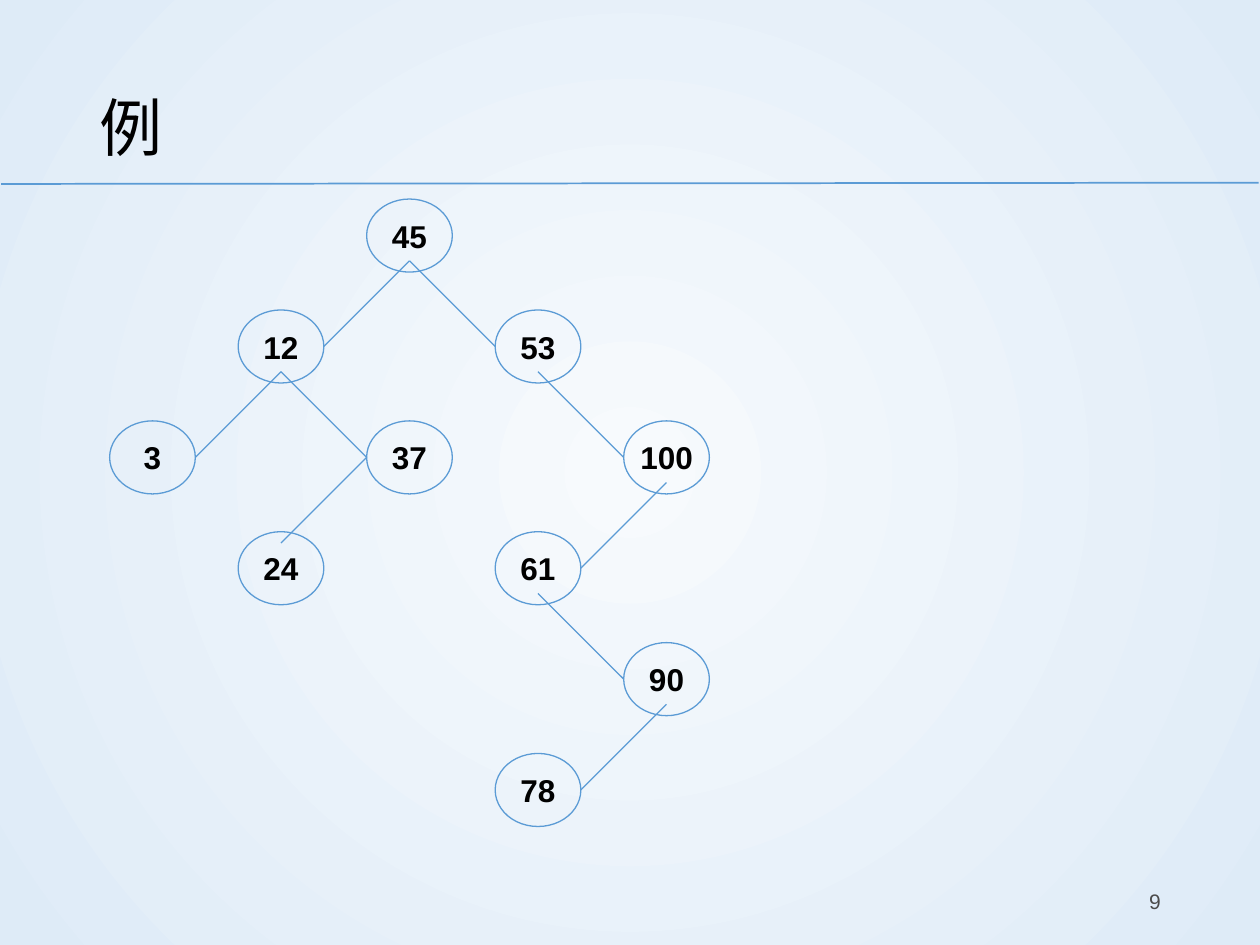
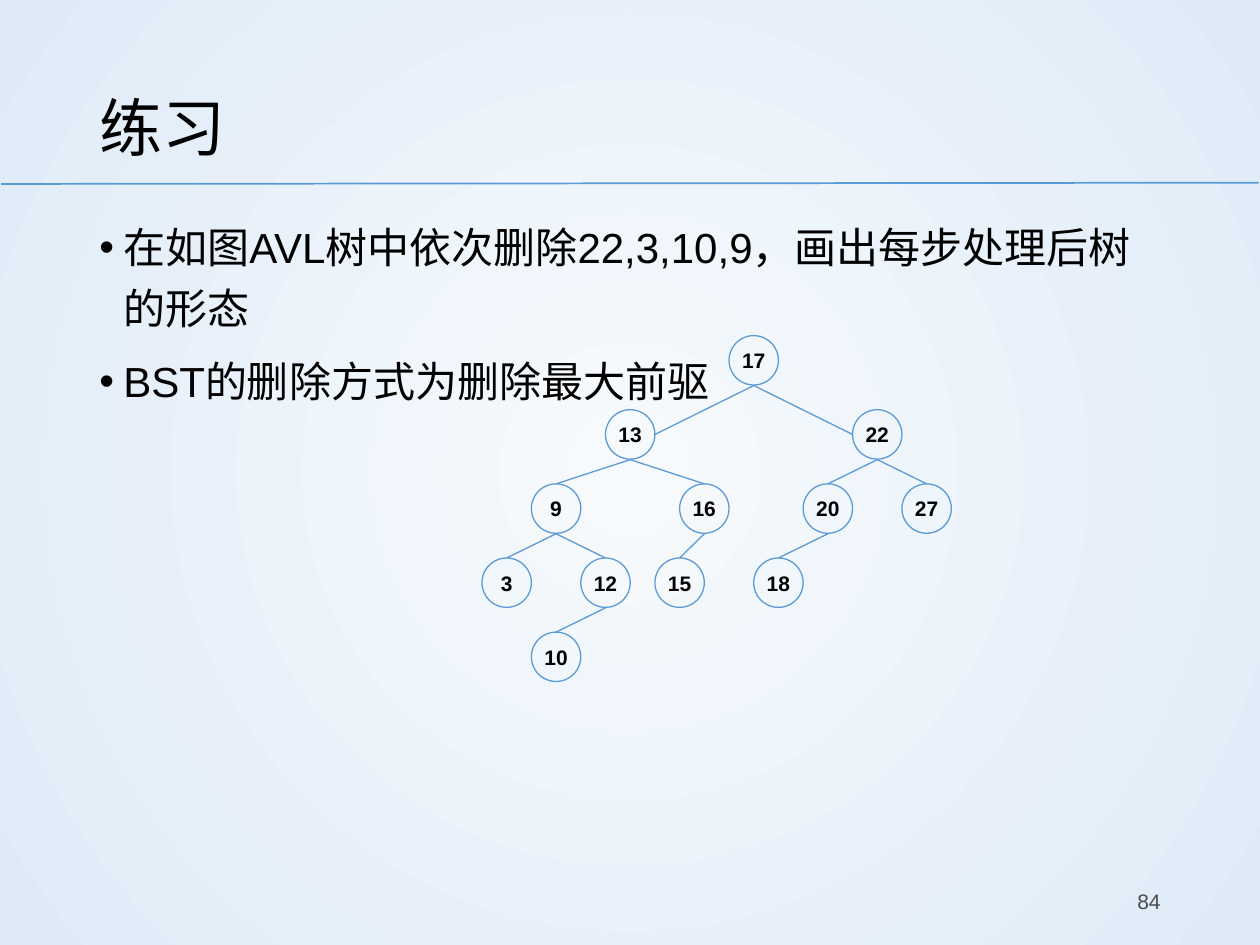
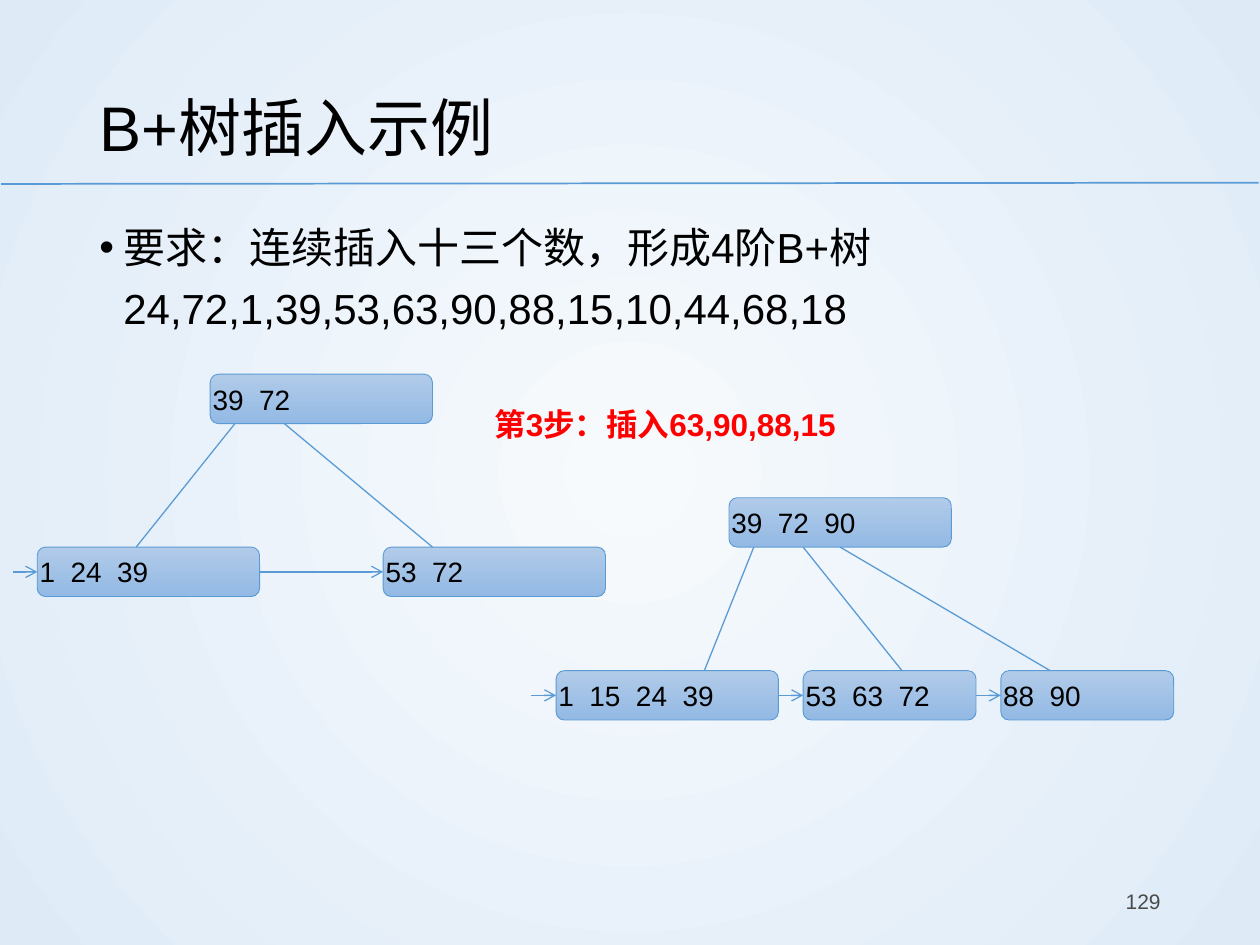
"""Build three slides on search trees: a BST, an AVL exercise and B+ tree insertion."""
from dataclasses import dataclass

from lxml import etree
from pptx import Presentation
from pptx.dml.color import RGBColor
from pptx.enum.shapes import MSO_CONNECTOR, MSO_SHAPE
from pptx.enum.text import MSO_ANCHOR, PP_ALIGN
from pptx.oxml.ns import qn
from pptx.util import Inches, Pt

STRAIGHT = MSO_CONNECTOR.STRAIGHT
OVAL, ROUNDED = MSO_SHAPE.OVAL, MSO_SHAPE.ROUNDED_RECTANGLE
TOP, MIDDLE = MSO_ANCHOR.TOP, MSO_ANCHOR.MIDDLE
LEFT, CENTER, RIGHT = PP_ALIGN.LEFT, PP_ALIGN.CENTER, PP_ALIGN.RIGHT


@dataclass(frozen=True)
class Theme:
    font: str = "Arial"
    ink: str = "000000"
    muted: str = "4B4B4B"
    accent: str = "FF0000"
    line: str = "5B9BD5"
    background: tuple = ("F7FAFD", "DEEBF7")
    block: tuple = ("B1CBE9", "93B9E4")
    title_size: int = 36
    body_size: int = 24
    label_size: int = 18
    key_size: int = 16
    small_size: int = 12


theme = Theme()
WIDTH, HEIGHT = 10, 7.5
UNIT = WIDTH / 51
GRID_LEFT = 0.1
MARGIN = 0.69
CONTENT_WIDTH = WIDTH - 2 * MARGIN


def write(frame, *texts, size, color=theme.ink, bold=False, align=LEFT, anchor=TOP,
          spacing=1.0, before=0, bullet=None, margins=(0.1, 0.05), wrap=True):
    """Fill a text frame with one paragraph per text, all in one format."""
    frame.word_wrap = wrap
    frame.vertical_anchor = anchor
    frame.margin_left = frame.margin_right = Inches(margins[0])
    frame.margin_top = frame.margin_bottom = Inches(margins[1])
    for index, text in enumerate(texts):
        para = frame.add_paragraph() if index else frame.paragraphs[0]
        para.alignment = align
        para.line_spacing = spacing
        para.space_before = Pt(before)
        if bullet:
            properties = para._p.get_or_add_pPr()
            properties.set("marL", str(Inches(0.19)))
            properties.set("indent", str(-Inches(0.19)))
            etree.SubElement(properties, qn("a:buFont"), typeface=theme.font)
            etree.SubElement(properties, qn("a:buChar"), char=bullet)
        span = para.add_run()
        span.text = text
        span.font.name = theme.font
        span.font.size = Pt(size)
        span.font.bold = bold
        span.font.color.rgb = RGBColor.from_string(color)


def connect(page, start, end, weight=0.75, arrow=False):
    """Draw a straight line between two points given in inches."""
    link = page.shapes.add_connector(STRAIGHT, *map(Inches, (*start, *end)))
    link.line.color.rgb = RGBColor.from_string(theme.line)
    link.line.width = Pt(weight)
    if arrow:
        etree.SubElement(link.line._get_or_add_ln(), qn("a:tailEnd"), type="arrow")
    etree.SubElement(link._element.spPr, qn("a:effectLst"))


deck = Presentation()
deck.slide_width, deck.slide_height = Inches(WIDTH), Inches(HEIGHT)

master = deck.slide_master
backdrop = master.background.fill
backdrop.gradient()
for stop, color in zip(backdrop.gradient_stops, theme.background):
    stop.color.rgb = RGBColor.from_string(color)
gradient = master.element.find(".//" + qn("a:gradFill"))
gradient.remove(gradient.find(qn("a:lin")))
circle = etree.SubElement(gradient, qn("a:path"), path="circle")
etree.SubElement(circle, qn("a:fillToRect"), l="50000", t="50000", r="50000", b="50000")

contents = [
    ("例", "9", []),
    ("练习", "84", ["在如图AVL树中依次删除22,3,10,9，画出每步处理后树的形态",
                  "BST的删除方式为删除最大前驱"]),
    ("B+树插入示例", "129",
     ["要求：连续插入十三个数，形成4阶B+树24,72,1,39,53,63,90,88,15,10,44,68,18"]),
]
pages = []
for title, number, points in contents:
    page = deck.slides.add_slide(deck.slide_layouts[6])
    pages.append(page)
    connect(page, (0.01, 1.46), (WIDTH - 0.01, 1.45), weight=1)
    box = page.shapes.add_textbox(*map(Inches, (MARGIN, 0.4, CONTENT_WIDTH, 1.08)))
    write(box.text_frame, title, size=theme.title_size, anchor=MIDDLE, spacing=1.2)
    if points:
        box = page.shapes.add_textbox(*map(Inches, (MARGIN, 1.63, CONTENT_WIDTH, 5.13)))
        write(box.text_frame, *points, size=theme.body_size, spacing=1.2, before=7.5, bullet="•")
    box = page.shapes.add_textbox(*map(Inches, (WIDTH - MARGIN - 2.25, 6.95, 2.25, 0.4)))
    write(box.text_frame, number, size=theme.small_size, color=theme.muted,
          align=RIGHT, anchor=MIDDLE)
search_page, balance_page, insert_page = pages

trees = [
    dict(page=search_page, origin=(1.21, 1.87), pitch=(1.02, 0.88), node=(0.68, 0.58),
         size=theme.label_size, side_rows=range(6),
         places={45: (2, 0), 12: (1, 1), 53: (3, 1), 3: (0, 2), 37: (2, 2), 100: (4, 2),
                 24: (1, 3), 61: (3, 3), 90: (4, 4), 78: (3, 5)},
         edges=[(45, 12), (12, 3), (45, 53), (53, 100), (12, 37), (24, 37),
                (100, 61), (61, 90), (90, 78)]),
    dict(page=balance_page, origin=(GRID_LEFT + 20 * UNIT, 2.86), pitch=(UNIT, 3 * UNIT),
         node=(2 * UNIT, 2 * UNIT), size=theme.small_size, side_rows=range(1),
         places={17: (10, 0), 13: (5, 1), 22: (15, 1), 9: (2, 2), 16: (8, 2), 20: (13, 2),
                 27: (17, 2), 3: (0, 3), 12: (4, 3), 15: (7, 3), 18: (11, 3), 10: (2, 4)},
         edges=[(17, 13), (17, 22), (13, 9), (13, 16), (22, 20), (22, 27), (9, 3),
                (9, 12), (16, 15), (20, 18), (12, 10)]),
]
for tree in trees:
    page, (node_width, node_height) = tree["page"], tree["node"]
    centers = {}
    for key, place in tree["places"].items():
        x, y = (start + step * pitch
                for start, step, pitch in zip(tree["origin"], place, tree["pitch"]))
        centers[key] = x, y
        node = page.shapes.add_shape(OVAL, *map(Inches, (
            x - node_width / 2, y - node_height / 2, node_width, node_height)))
        node.shadow.inherit = False
        node.fill.background()
        node.line.color.rgb = RGBColor.from_string(theme.line)
        node.line.width = Pt(0.75)
        write(node.text_frame, str(key), size=tree["size"], bold=True, align=CENTER,
              anchor=MIDDLE, margins=(0, 0), wrap=False)
    for first, second in tree["edges"]:
        (x1, y1), (x2, y2) = centers[first], centers[second]
        down = 1 if y2 > y1 else -1
        across = 1 if x2 > x1 else -1
        if tree["places"][first][1] in tree["side_rows"]:
            end = x2 - across * node_width / 2, y2
        else:
            end = x2, y2 - down * node_height / 2
        connect(page, (x1, y1 + down * 0.2), end)

BLOCK_TOP = 2.97
blocks = [
    ("39  72", 8, 0, 9), ("1  24  39", 1, 7, 9), ("53  72", 15, 7, 9),
    ("39  72  90", 29, 5, 9), ("1  15  24  39", 22, 12, 9),
    ("53  63  72", 32, 12, 7), ("88  90", 40, 12, 7),
]
for keys, column, row, columns in blocks:
    block = insert_page.shapes.add_shape(ROUNDED, *map(Inches, (
        GRID_LEFT + column * UNIT, BLOCK_TOP + row * UNIT, columns * UNIT, 2 * UNIT)))
    block.shadow.inherit = False
    block.fill.gradient()
    block.fill.gradient_angle = 270
    for stop, color in zip(block.fill.gradient_stops, theme.block):
        stop.color.rgb = RGBColor.from_string(color)
    block.line.color.rgb = RGBColor.from_string(theme.line)
    block.line.width = Pt(0.5)
    write(block.text_frame, keys, size=theme.key_size, anchor=MIDDLE, margins=(0, 0))

branches = [(9, 2, 5, 7), (11, 2, 17, 7), (30, 7, 28, 12), (32, 7, 36, 12), (33.5, 7, 42, 12)]
chains = [(0, 8, 1, 8), (10, 8, 15, 8), (21, 13, 22, 13), (31, 13, 32, 13), (39, 13, 40, 13)]
for links, arrow in ((branches, False), (chains, True)):
    for column1, row1, column2, row2 in links:
        connect(insert_page, (GRID_LEFT + column1 * UNIT, BLOCK_TOP + row1 * UNIT),
                (GRID_LEFT + column2 * UNIT, BLOCK_TOP + row2 * UNIT), arrow=arrow)

box = insert_page.shapes.add_textbox(*map(Inches, (
    GRID_LEFT + 19 * UNIT, BLOCK_TOP + UNIT, 19 * UNIT, 0.4)))
write(box.text_frame, "第3步：插入63,90,88,15", size=theme.label_size,
      color=theme.accent, bold=True)

deck.save("out.pptx")
